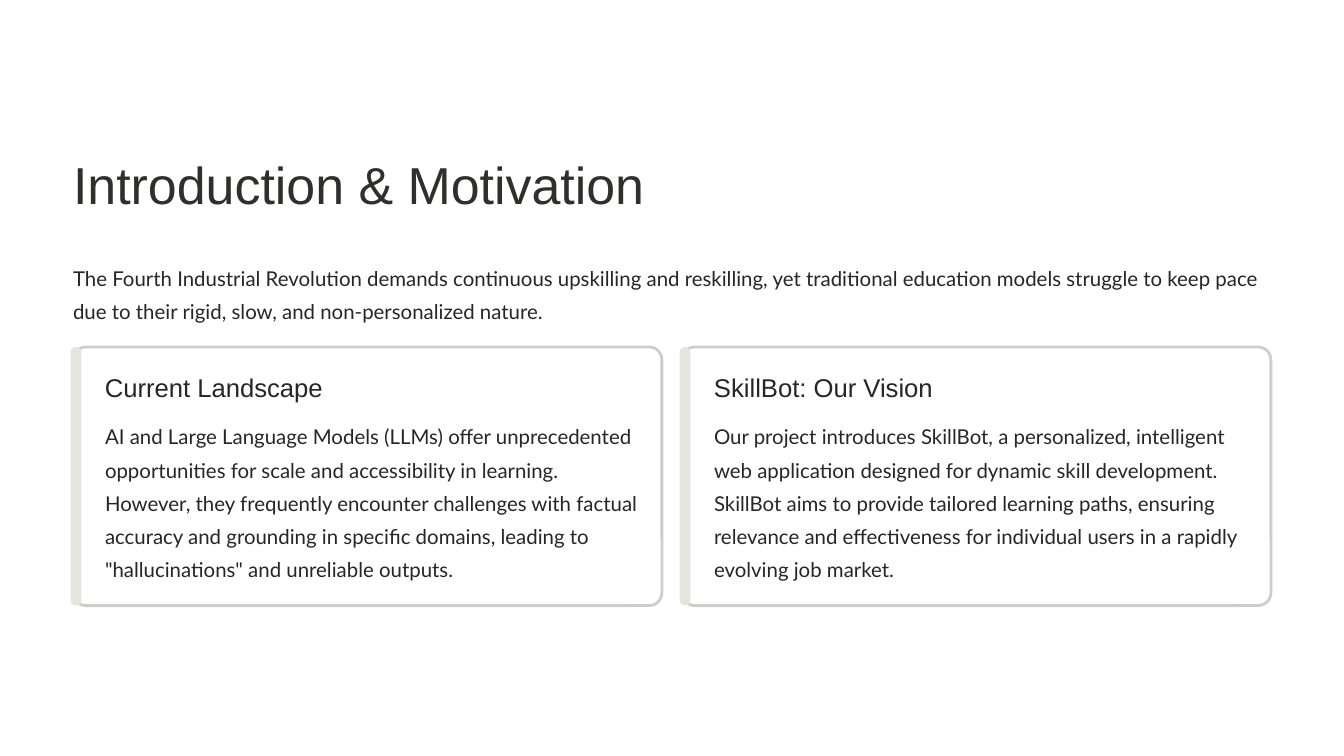
from pptx import Presentation
from pptx.dml.color import RGBColor
from pptx.enum.shapes import MSO_SHAPE
from pptx.util import Inches, Pt

WHITE = RGBColor(0xFF, 0xFF, 0xFF)
TITLE_INK = RGBColor(0x31, 0x2F, 0x2B)
BODY_INK = RGBColor(0x27, 0x25, 0x25)
BORDER = RGBColor(0xCE, 0xCE, 0xC9)
ACCENT = RGBColor(0xE5, 0xE5, 0xE0)

COLUMNS, ROWS = 16, 9
MARGIN = 0.87
CARD_TOP, CARD_WIDTH, CARD_HEIGHT = 4.13, 7.01, 3.08
CARD_STEP = COLUMNS - 2 * MARGIN - CARD_WIDTH

CARDS = [
    ("Current Landscape",
     "AI and Large Language Models (LLMs) offer unprecedented opportunities for scale "
     "and accessibility in learning. However, they frequently encounter challenges with "
     "factual accuracy and grounding in specific domains, leading to \"hallucinations\" "
     "and unreliable outputs."),
    ("SkillBot: Our Vision",
     "Our project introduces SkillBot, a personalized, intelligent web application "
     "designed for dynamic skill development. SkillBot aims to provide tailored learning "
     "paths, ensuring relevance and effectiveness for individual users in a rapidly "
     "evolving job market."),
]


class SlideBuilder:
    """Places styled elements on a grid of 16 columns by 9 rows."""

    def __init__(self, presentation):
        self.column = presentation.slide_width / COLUMNS
        self.row = presentation.slide_height / ROWS
        self.slide = presentation.slides.add_slide(presentation.slide_layouts[6])
        background = self.slide.background.fill
        background.solid()
        background.fore_color.rgb = WHITE

    def place(self, left, top, width, height):
        return (round(left * self.column), round(top * self.row),
                round(width * self.column), round(height * self.row))

    def text(self, area, words, size, spacing, font="Arial", color=BODY_INK, wrap=False):
        frame = self.slide.shapes.add_textbox(*self.place(*area)).text_frame
        frame.margin_left = frame.margin_right = 0
        frame.margin_top = frame.margin_bottom = 0
        frame.word_wrap = wrap
        paragraph = frame.paragraphs[0]
        paragraph.text = words
        paragraph.line_spacing = Pt(spacing)
        paragraph.font.name = font
        paragraph.font.size = Pt(size)
        paragraph.font.color.rgb = color

    def body(self, area, words):
        self.text(area, words, 17.5, 28.5, font="Lato", wrap=True)

    def rounded(self, area, rounding, fill, border=None):
        shape = self.slide.shapes.add_shape(MSO_SHAPE.ROUNDED_RECTANGLE, *self.place(*area))
        shape.adjustments[0] = rounding
        shape.shadow.inherit = False
        shape.fill.solid()
        shape.fill.fore_color.rgb = fill
        if border is None:
            shape.line.fill.background()
        else:
            shape.line.color.rgb = border
            shape.line.width = Pt(2.4)

    def card(self, left, heading, words):
        self.rounded((left, CARD_TOP, CARD_WIDTH, CARD_HEIGHT), 0.05, WHITE, BORDER)
        self.rounded((left - 0.03, CARD_TOP, 0.13, CARD_HEIGHT), 0.5, ACCENT)
        text_left = left + 0.38
        self.text((text_left, CARD_TOP + 0.28, 3.1, 0.39), heading, 22, 27.5)
        self.body((text_left, CARD_TOP + 0.82, 6.35, 1.98), words)


def main():
    presentation = Presentation()
    presentation.slide_width = Inches(COLUMNS)
    presentation.slide_height = Inches(ROWS)
    builder = SlideBuilder(presentation)
    builder.text((MARGIN, 1.79, 7.26, 0.78), "Introduction & Motivation",
                 44.5, 55.5, color=TITLE_INK)
    builder.body((MARGIN, 3.06, COLUMNS - 2 * MARGIN, 0.79),
                 "The Fourth Industrial Revolution demands continuous upskilling and "
                 "reskilling, yet traditional education models struggle to keep pace due "
                 "to their rigid, slow, and non-personalized nature.")
    for index, (heading, words) in enumerate(CARDS):
        builder.card(MARGIN + index * CARD_STEP, heading, words)
    presentation.save("out.pptx")


if __name__ == "__main__":
    main()
